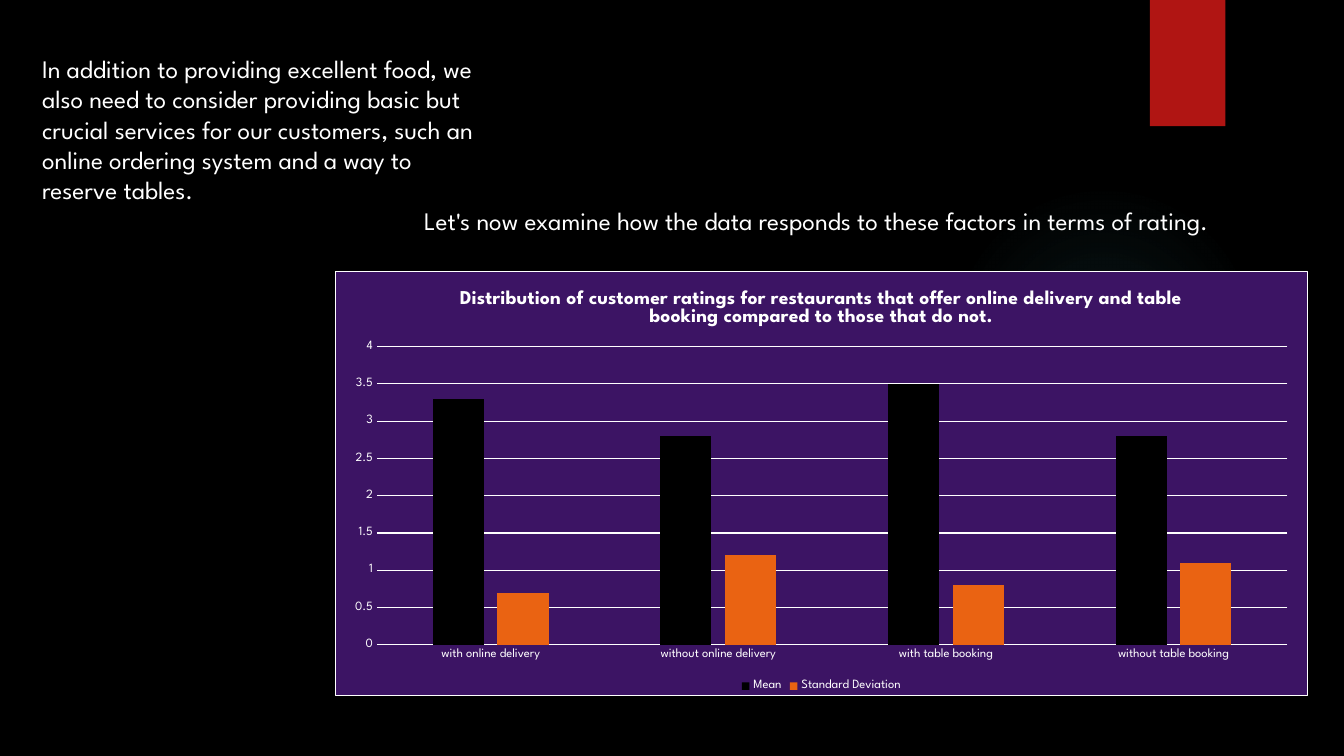
import pptx
import pptx.chart.data
import pptx.dml.color
import pptx.enum.chart
import pptx.enum.shapes
import pptx.enum.text
import pptx.oxml
import pptx.oxml.ns
import pptx.util
from dataclasses import dataclass
from pptx.util import Cm


@dataclass(frozen=True)
class Theme:
    font: str = "League Spartan"
    background: str = "000000"
    text: str = "FFFFFF"
    accent: str = "B01513"
    glow: str = "50B9C1"
    panel: str = "3C1464"
    mean: str = "000000"
    deviation: str = "EA6312"
    body_size: int = 18
    title_size: int = 14
    label_size: int = 9
    hairline: float = 0.75


theme = Theme()
color = pptx.dml.color.RGBColor.from_string
points = pptx.util.Pt
namespaces = pptx.oxml.ns.nsdecls("a", "c")


def write_text(text_frame, text, size=theme.body_size, bold=False):
    text_frame.word_wrap = True
    paragraph = text_frame.paragraphs[0]
    run = paragraph.add_run()
    run.text = text
    format_font(run.font, size, bold)


def format_font(font, size, bold=False):
    font.name = theme.font
    font.size = points(size)
    font.bold = bold
    font.color.rgb = color(theme.text)


presentation = pptx.Presentation()
presentation.slide_width = Cm(33.87)
presentation.slide_height = Cm(19.05)
slide = presentation.slides.add_slide(presentation.slide_layouts[6])
slide.background.fill.solid()
slide.background.fill.fore_color.rgb = color(theme.background)

shape_kinds = pptx.enum.shapes.MSO_SHAPE
glow = slide.shapes.add_shape(shape_kinds.OVAL, Cm(23.9), Cm(4.65), Cm(7.82), Cm(7.82))
ribbon = slide.shapes.add_shape(shape_kinds.RECTANGLE, Cm(28.98), Cm(0), Cm(1.9), Cm(3.18))
for shape in (glow, ribbon):
    shape.shadow.inherit = False
    shape.line.fill.background()
ribbon.fill.solid()
ribbon.fill.fore_color.rgb = color(theme.accent)

glow.fill.background()
stops = "".join(
    f'<a:gs pos="{position * 1000}"><a:srgbClr val="{theme.glow}">'
    f'<a:alpha val="{opacity * 1000}"/></a:srgbClr></a:gs>'
    for position, opacity in ((0, 7), (36, 6), (69, 0))
)
glow_fill = pptx.oxml.parse_xml(
    f'<a:gradFill {namespaces}><a:gsLst>{stops}</a:gsLst><a:path path="circle">'
    '<a:fillToRect l="50000" t="50000" r="50000" b="50000"/></a:path></a:gradFill>'
)
glow_properties = glow.element.spPr
glow_properties.replace(glow_properties.find(pptx.oxml.ns.qn("a:noFill")), glow_fill)

ratings = pptx.chart.data.CategoryChartData()
ratings.categories = [
    "with online delivery",
    "without online delivery",
    "with table booking",
    "without table booking",
]
ratings.add_series("Mean", (3.3, 2.8, 3.5, 2.8))
ratings.add_series("Standard Deviation", (0.7, 1.2, 0.8, 1.1))
chart = slide.shapes.add_chart(
    pptx.enum.chart.XL_CHART_TYPE.COLUMN_CLUSTERED,
    Cm(8.43), Cm(6.83), Cm(24.54), Cm(10.72), ratings,
).chart
format_font(chart.font, theme.label_size)
chart.has_title = True
write_text(
    chart.chart_title.text_frame,
    "Distribution of customer ratings for restaurants that offer online delivery "
    "and table booking compared to those that do not.",
    size=theme.title_size,
    bold=True,
)
chart.chart_title.include_in_layout = False
chart.has_legend = True
chart.legend.position = pptx.enum.chart.XL_LEGEND_POSITION.BOTTOM
chart.legend.include_in_layout = False
format_font(chart.legend.font, theme.label_size)

plot = chart.plots[0]
plot.gap_width = 219
plot.overlap = -27
plot.vary_by_categories = False
for series, series_color in zip(plot.series, (theme.mean, theme.deviation)):
    series.format.fill.solid()
    series.format.fill.fore_color.rgb = color(series_color)

for axis in (chart.category_axis, chart.value_axis):
    axis.major_tick_mark = pptx.enum.chart.XL_TICK_MARK.NONE
    axis.minor_tick_mark = pptx.enum.chart.XL_TICK_MARK.NONE
    format_font(axis.tick_labels.font, theme.label_size)
chart.value_axis.minimum_scale = 0
chart.value_axis.maximum_scale = 4
chart.value_axis.major_unit = 0.5
chart.value_axis.tick_labels.number_format = "General"
chart.value_axis.tick_labels.number_format_is_linked = False
chart.value_axis.format.line.fill.background()
for line in (chart.category_axis.format.line, chart.value_axis.major_gridlines.format.line):
    line.color.rgb = color(theme.text)
    line.width = points(theme.hairline)

panel = pptx.oxml.parse_xml(
    f'<c:spPr {namespaces}><a:solidFill><a:srgbClr val="{theme.panel}"/></a:solidFill>'
    f'<a:ln w="{points(theme.hairline)}"><a:solidFill><a:srgbClr val="{theme.text}"/>'
    '</a:solidFill></a:ln></c:spPr>'
)
chart_element = chart.element.find(pptx.oxml.ns.qn("c:chart"))
chart_element.addnext(panel)

plot_area = chart_element.find(pptx.oxml.ns.qn("c:plotArea"))
for layout in plot_area.findall(pptx.oxml.ns.qn("c:layout")):
    plot_area.remove(layout)
plot_area.insert(0, pptx.oxml.parse_xml(
    f'<c:layout {namespaces}><c:manualLayout><c:layoutTarget val="inner"/>'
    '<c:xMode val="edge"/><c:yMode val="edge"/><c:x val="0.043"/><c:y val="0.177"/>'
    '<c:w val="0.936"/><c:h val="0.703"/></c:manualLayout></c:layout>'
))

statements = (
    ("Let's now examine how the data responds to these factors in terms of rating.",
     Cm(10.44), Cm(5.05), Cm(21.11), Cm(1.02)),
    ("In addition to providing excellent food, we also need to consider providing basic "
     "but crucial services for our customers, such an online ordering system and a way "
     "to reserve tables.",
     Cm(0.81), Cm(1.22), Cm(11.43), Cm(4.11)),
)
for statement, left, top, width, height in statements:
    text_box = slide.shapes.add_textbox(left, top, width, height)
    text_box.text_frame.auto_size = pptx.enum.text.MSO_AUTO_SIZE.SHAPE_TO_FIT_TEXT
    write_text(text_box.text_frame, statement)

presentation.save("out.pptx")
